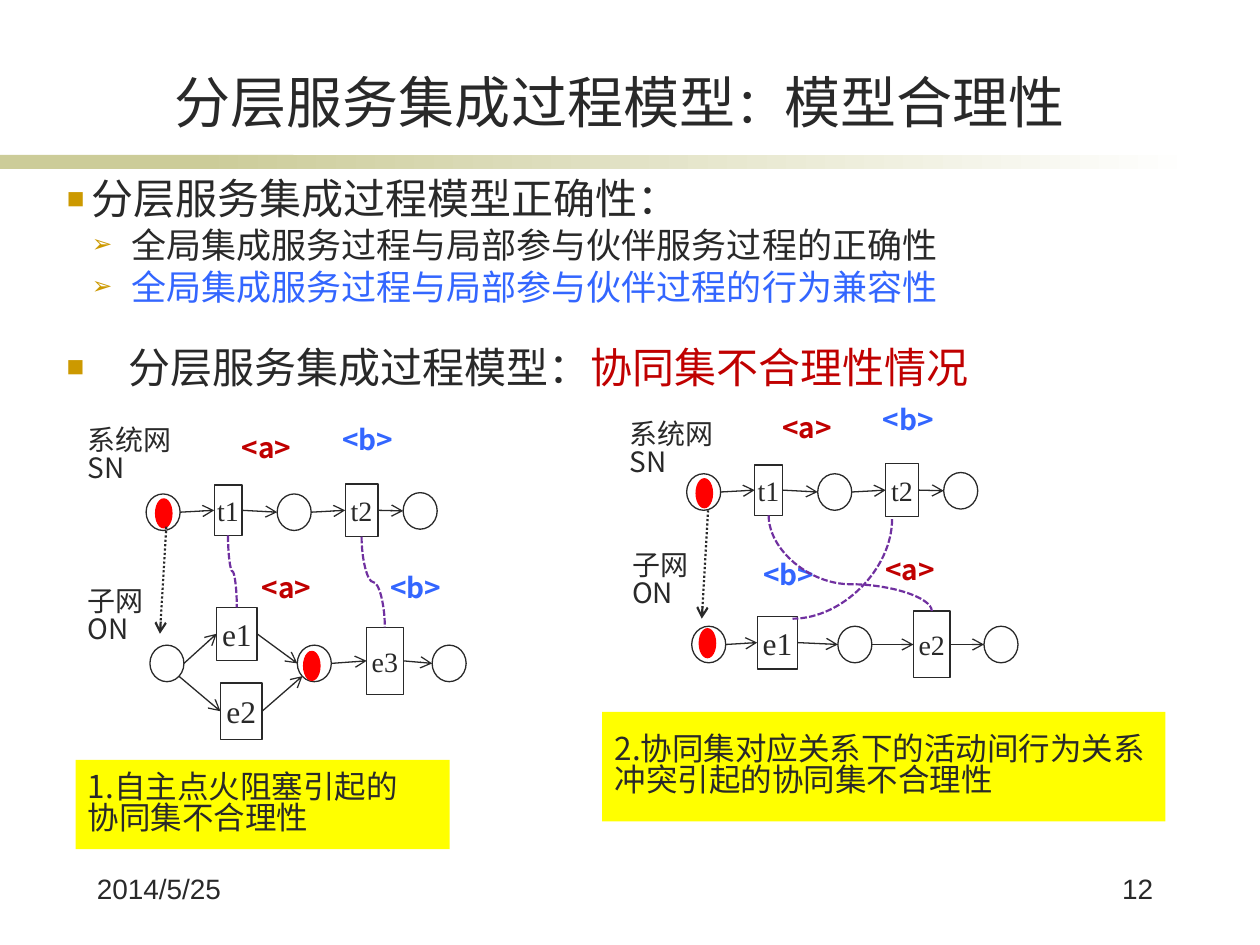
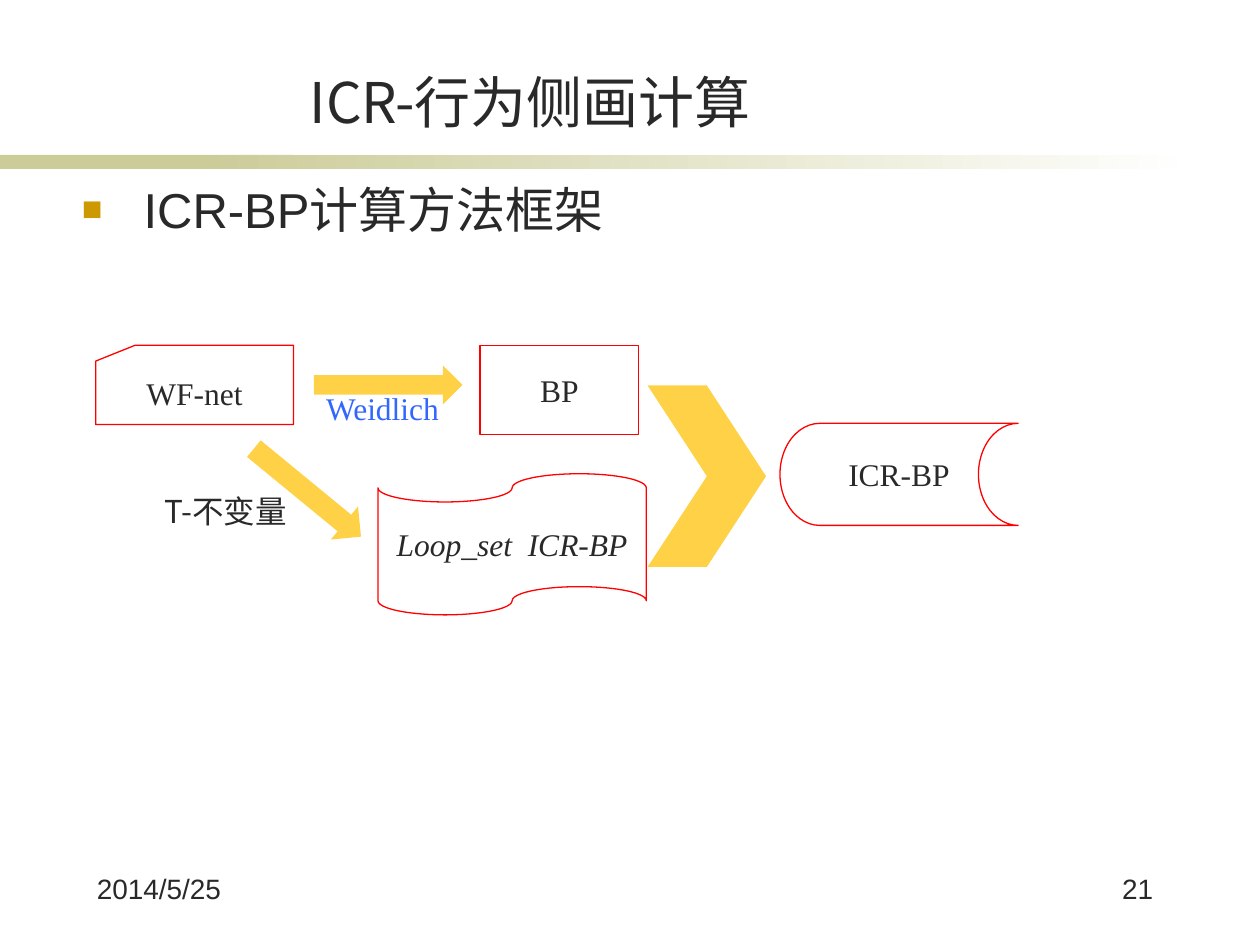
from lxml.etree import SubElement
from pptx import Presentation
from pptx.dml.color import RGBColor
from pptx.enum.dml import MSO_LINE
from pptx.enum.shapes import MSO_CONNECTOR, MSO_SHAPE
from pptx.enum.text import MSO_ANCHOR, MSO_AUTO_SIZE, PP_ALIGN
from pptx.oxml.ns import qn
from pptx.util import Emu, Inches, Pt

# The slide is a grid of 100 columns by 75 rows; all lengths are in its cells
SLIDE_WIDTH, SLIDE_HEIGHT = Inches(10), Inches(7.5)
COLUMN, ROW = SLIDE_WIDTH / 100, SLIDE_HEIGHT / 75

COLORS = {
    "ink": "292929", "paper": "FFFFFF", "band": "CCCC99", "bullet": "CC9900",
    "blue": "3366FF", "crimson": "C00000", "red": "FF0000",
    "purple": "7030A0", "note": "FFFF00", "arrow": "FFD147",
}
CHINESE, SANS, SERIF = "Noto Sans CJK SC", "Arial", "Times New Roman"
LINE_SPACING = 0.83
DATE = "2014/5/25"

# Points of a shape: share of width, share of height, connection site
SIDES = {
    "top": (0.5, 0, 0), "left": (0, 0.5, 1),
    "bottom": (0.5, 1, 2), "right": (1, 0.5, 3),
    "lower left": (0.15, 0.85, None), "lower right": (0.85, 0.85, None),
}


def color(name):
    return RGBColor.from_string(COLORS[name])


def place(columns, rows):
    return Emu(round(columns * COLUMN)), Emu(round(rows * ROW))


def box(left, top, width, height):
    return *place(left, top), *place(width, height)


# Text
def add_run(paragraph, text, size, font=CHINESE, ink="ink", bold=False, italic=False):
    run = paragraph.add_run()
    run.text = text
    run.font.size, run.font.name = Pt(size), font
    run.font.bold, run.font.italic = bold, italic
    run.font.color.rgb = color(ink)
    SubElement(run.font._element, qn("a:ea"), typeface=font)
    if font == CHINESE:
        paragraph.line_spacing = LINE_SPACING


def add_lines(frame, lines, size, alignment=PP_ALIGN.LEFT, **style):
    for index, line in enumerate(lines):
        paragraph = frame.add_paragraph() if index else frame.paragraphs[0]
        paragraph.alignment = alignment
        add_run(paragraph, line, size, **style)


def add_text(slide, area, lines, size, **style):
    frame = slide.shapes.add_textbox(*box(*area)).text_frame
    frame.word_wrap = True
    add_lines(frame, lines, size, **style)
    return frame


def set_bullet(paragraph, character, margin, hanging, size):
    paragraph.space_before = Pt(0.2 * size)
    properties = paragraph._p.get_or_add_pPr()
    properties.set("marL", str(round(margin * COLUMN)))
    properties.set("indent", str(round(-hanging * COLUMN)))
    bullet_color = SubElement(properties, qn("a:buClr"))
    SubElement(bullet_color, qn("a:srgbClr"), val=COLORS["bullet"])
    SubElement(properties, qn("a:buSzPct"), val="70000")
    SubElement(properties, qn("a:buFont"), typeface=SANS)
    SubElement(properties, qn("a:buChar"), char=character)


def add_bullets(frame, items):
    """Each item is (character, margin, hanging, size, runs)."""
    for index, (character, margin, hanging, size, runs) in enumerate(items):
        paragraph = frame.add_paragraph() if index else frame.paragraphs[0]
        for text, style in runs:
            add_run(paragraph, text, size, **style)
        set_bullet(paragraph, character, margin, hanging, size)


def fill_body(slide, area, items):
    body = slide.placeholders[1]
    body.left, body.top, body.width, body.height = box(*area)
    body.text_frame.auto_size = MSO_AUTO_SIZE.NONE
    add_bullets(body.text_frame, items)


# Shapes
def add_shape(slide, kind, area, fill, line=None):
    shape = slide.shapes.add_shape(kind, *box(*area))
    shape.shadow.inherit = False
    shape.fill.solid()
    shape.fill.fore_color.rgb = color(fill)
    if line:
        shape.line.color.rgb = color(line)
        shape.line.width = Pt(0.75)
    else:
        shape.line.fill.background()
    return shape


def add_labelled(slide, kind, area, text, size=18, line="red", italic=False):
    shape = add_shape(slide, kind, area, "paper", line)
    frame = shape.text_frame
    frame.word_wrap = False
    frame.vertical_anchor = MSO_ANCHOR.MIDDLE
    add_lines(frame, [text], size, PP_ALIGN.CENTER, font=SERIF, italic=italic)
    return shape


def add_state(slide, left, top):
    return add_shape(slide, MSO_SHAPE.FLOWCHART_CONNECTOR, (left, top, 2.7, 2.9), "paper", "ink")


def add_token(slide, left, top):
    add_shape(slide, MSO_SHAPE.FLOWCHART_CONNECTOR, (left, top, 1.3, 2.3), "red", "red")


def add_step(slide, area, text, size=16):
    return add_labelled(slide, MSO_SHAPE.FLOWCHART_PROCESS, area, text, size, "ink")


def add_note(slide, area, lines):
    frame = add_shape(slide, MSO_SHAPE.RECTANGLE, area, "note").text_frame
    frame.word_wrap = True
    frame.margin_right = 0
    frame.vertical_anchor = MSO_ANCHOR.MIDDLE
    add_lines(frame, lines, 18)


# Connectors
def style_connector(connector, ink, width, dash=None, arrow=True):
    connector.line.color.rgb = color(ink)
    connector.line.width = Pt(width)
    if dash:
        connector.line.dash_style = dash
    properties = connector._element.spPr
    if arrow:
        SubElement(properties.find(qn("a:ln")), qn("a:tailEnd"), type="arrow")
    SubElement(properties, qn("a:effectLst"))


def point_on(shape, side):
    across, down, _ = SIDES[side]
    return (Emu(round(shape.left + across * shape.width)),
            Emu(round(shape.top + down * shape.height)))


def link(slide, source, target, leave="right", enter="left"):
    connector = slide.shapes.add_connector(
        MSO_CONNECTOR.STRAIGHT, *point_on(source, leave), *point_on(target, enter))
    rectangle = MSO_SHAPE.FLOWCHART_PROCESS
    if source.auto_shape_type == rectangle:
        connector.begin_connect(source, SIDES[leave][2])
    if target.auto_shape_type == rectangle:
        connector.end_connect(target, SIDES[enter][2])
    style_connector(connector, "ink", 0.75)


def link_chain(slide, *shapes):
    for source, target in zip(shapes, shapes[1:]):
        link(slide, source, target)


def add_dotted_arrow(slide, start, end):
    connector = slide.shapes.add_connector(MSO_CONNECTOR.STRAIGHT, *place(*start), *place(*end))
    style_connector(connector, "ink", 1.25, MSO_LINE.ROUND_DOT)


def add_curve(slide, start, end, bend=0.5, quarter=False):
    """Dashed curve leaving downwards: an S to the right, or a quarter turn to the left."""
    (start_x, start_y), (end_x, end_y) = start, end
    half_width, half_height = (end_y - start_y) // 2, abs(end_x - start_x) // 2
    middle_x, middle_y = (start_x + end_x) // 2, (start_y + end_y) // 2
    near, far = middle_x - half_width, middle_x + half_width
    begin_x, finish_x = (near, far) if quarter else (far, near)
    connector = slide.shapes.add_connector(
        MSO_CONNECTOR.CURVE, begin_x, middle_y - half_height, finish_x, middle_y + half_height)
    properties = connector._element.spPr
    properties.find(qn("a:xfrm")).set("rot", str((90 if quarter else 270) * 60000))
    geometry = properties.find(qn("a:prstGeom"))
    if quarter:
        geometry.set("prst", "curvedConnector2")
    else:
        adjustments = geometry.find(qn("a:avLst"))
        if adjustments is None:
            adjustments = SubElement(geometry, qn("a:avLst"))
        SubElement(adjustments, qn("a:gd"), name="adj1", fmla=f"val {round(bend * 100000)}")
    style_connector(connector, "purple", 1.25, MSO_LINE.SQUARE_DOT, arrow=False)


# Shared slide frame
def add_slide(presentation, title, title_width, number):
    slide = presentation.slides.add_slide(presentation.slide_layouts[1])
    add_shape(slide, MSO_SHAPE.RECTANGLE, (0, 12.3, 23.3, 1.1), "band")
    fade = add_shape(slide, MSO_SHAPE.RECTANGLE, (15.8, 12.3, 79.2, 1.1), "band")
    fade.fill.gradient()
    fade.fill.gradient_angle = 0
    for stop, name in zip(fade.fill.gradient_stops, ("band", "paper")):
        stop.color.rgb = color(name)

    heading = slide.shapes.title
    heading.left, heading.top, heading.width, heading.height = box(11.4, 4.4, title_width, 6.3)
    frame = heading.text_frame
    frame.auto_size = MSO_AUTO_SIZE.NONE
    frame.vertical_anchor = MSO_ANCHOR.BOTTOM
    frame.margin_bottom = 0
    frame.paragraphs[0].alignment = PP_ALIGN.CENTER
    for text, size in title:
        add_run(frame.paragraphs[0], text, size)

    add_text(slide, (6.7, 68.7, 14.1, 5), [DATE], 16, font=SANS)
    add_text(slide, (82.3, 68.7, 10.2, 5), [str(number)], 16, alignment=PP_ALIGN.RIGHT, font=SANS)
    return slide


# Petri nets
def add_tag(slide, left, top, letter):
    ink = {"a": "crimson", "b": "blue"}[letter]
    add_text(slide, (left, top, 8.3, 4.5), [f"<{letter}>"], 16, ink=ink, bold=True)


def add_net_name(slide, left, top, lines):
    add_text(slide, (left, top, 16, 7.8), lines, 16)


def add_system_net(slide, left, top):
    start = add_state(slide, left, top)
    first = add_step(slide, (left + 5.4, top - 0.7, 2.2, 4), "t1")
    middle = add_state(slide, left + 10.4, top)
    second = add_step(slide, (left + 15.8, top - 0.8, 2.6, 4.2), "t2")
    end = add_state(slide, left + 20.4, top - 0.1)
    link_chain(slide, start, first, middle, second, end)
    add_token(slide, left + 0.75, top + 0.4)
    add_tag(slide, left + 6.6, top - 5.1, "a")
    add_tag(slide, left + 14.6, top - 5.7, "b")
    return first, second


def add_blocking_net(slide):
    first, second = add_system_net(slide, 11.6, 39.2)
    start, middle, end = (add_state(slide, left, 51.2) for left in (11.9, 23.6, 34.3))
    upper = add_step(slide, (17.2, 48.2, 3.2, 4.2), "e1", 18)
    lower = add_step(slide, (17.5, 54.2, 3.3, 4.5), "e2", 18)
    third = add_step(slide, (29.1, 49.8, 2.9, 5.3), "e3")
    link_chain(slide, start, upper, middle, third, end)
    link(slide, start, lower, leave="lower right")
    link(slide, lower, middle, enter="lower left")
    add_token(slide, 24.1, 51.7)
    add_net_name(slide, 6, 33.5, ["系统网", "SN"])
    add_net_name(slide, 6, 46.3, ["子网", "ON"])
    add_tag(slide, 19.8, 45.2, "a")
    add_tag(slide, 30, 45.2, "b")
    add_curve(slide, point_on(first, "bottom"), point_on(upper, "top"))
    add_curve(slide, point_on(second, "bottom"), point_on(third, "top"))
    add_dotted_arrow(slide, (13.2, 41.8), (12.7, 50.3))
    add_note(slide, (6, 60.3, 29.7, 7.1), ["1.自主点火阻塞引起的", "协同集不合理性"])


def add_conflict_net(slide):
    first, _ = add_system_net(slide, 54.5, 37.6)
    start, middle, end = (add_state(slide, left, 49.7) for left in (54.9, 66.5, 78.1))
    early = add_step(slide, (60.1, 48.9, 3.2, 4.2), "e1", 18)
    late = add_step(slide, (72.5, 48.5, 2.9, 5.3), "e2")
    link_chain(slide, start, early, middle, late, end)
    add_token(slide, 55.5, 49.9)
    add_net_name(slide, 49, 33, ["系统网", "SN"])
    add_net_name(slide, 49.2, 43.4, ["子网", "ON"])
    add_tag(slide, 69.3, 43.8, "a")
    add_tag(slide, 59.6, 44.2, "b")
    add_curve(slide, point_on(first, "bottom"), point_on(late, "top"), bend=0.72)
    add_curve(slide, place(70.8, 41.2), place(62.9, 49.1), quarter=True)
    add_dotted_arrow(slide, (56.2, 40.5), (55.7, 49.1))
    add_note(slide, (47.8, 56.5, 44.7, 8.7),
             ["2.协同集对应关系下的活动间行为关系", "冲突引起的协同集不合理性"])


def build_soundness_slide(presentation):
    title = [("分层服务集成过程模型", 32), ("：", 28), ("模型合理性", 32)]
    slide = add_slide(presentation, title, 75.6, 12)
    fill_body(slide, (4.3, 13.9, 89, 13.1), [
        ("■", 2, 2, 24, [("分层服务集成过程模型正确性：", {})]),
        ("➢", 5.1, 3.1, 20, [("全局集成服务过程与局部参与伙伴服务过程的正确性", {})]),
        ("➢", 5.1, 3.1, 20, [("全局集成服务过程与局部参与伙伴过程的行为兼容性", {"ink": "blue"})]),
    ])
    frame = slide.shapes.add_textbox(*box(4.3, 27.3, 89, 9.6)).text_frame
    frame.word_wrap = True
    add_bullets(frame, [("■", 4.9, 4.9, 24, [
        ("分层服务集成过程模型：", {}), ("协同集不合理性情况", {"ink": "crimson"})])])
    add_blocking_net(slide)
    add_conflict_net(slide)


def build_profile_slide(presentation):
    slide = add_slide(presentation, [("ICR-行为侧画计算", 32)], 61.4, 21)
    fill_body(slide, (5.5, 14.5, 89, 48), [
        ("■", 4.9, 4.9, 28, [("ICR-BP", {"font": SANS}), ("计算方法框架", {})])])
    # Flow from the net to the profile
    add_labelled(slide, MSO_SHAPE.FLOWCHART_CARD, (7.6, 27.4, 15.7, 6.3), "WF-net")
    add_shape(slide, MSO_SHAPE.RIGHT_ARROW, (24.9, 29, 11.8, 3.1), "arrow")
    add_labelled(slide, MSO_SHAPE.RECTANGLE, (38.1, 27.4, 12.6, 7.1), "BP")
    add_shape(slide, MSO_SHAPE.RIGHT_ARROW, (18.9, 37.4, 11, 3.4), "arrow").rotation = 39.4
    add_labelled(slide, MSO_SHAPE.FLOWCHART_PUNCHED_TAPE, (30, 37.6, 21.3, 11.2),
                 "Loop_set  ICR-BP", italic=True)
    add_shape(slide, MSO_SHAPE.CHEVRON, (51.4, 30.6, 9.4, 14.4), "arrow")
    add_labelled(slide, MSO_SHAPE.FLOWCHART_STORED_DATA, (61.9, 33.6, 18.9, 8.1), "ICR-BP")
    add_text(slide, (12.1, 39.1, 17.3, 4), ["T-不变量"], 18)
    add_text(slide, (24.9, 30.4, 17.3, 4), ["Weidlich"], 18, font=SERIF, ink="blue")


def main():
    presentation = Presentation()
    presentation.slide_width, presentation.slide_height = SLIDE_WIDTH, SLIDE_HEIGHT
    build_soundness_slide(presentation)
    build_profile_slide(presentation)
    presentation.save("out.pptx")


if __name__ == "__main__":
    main()
